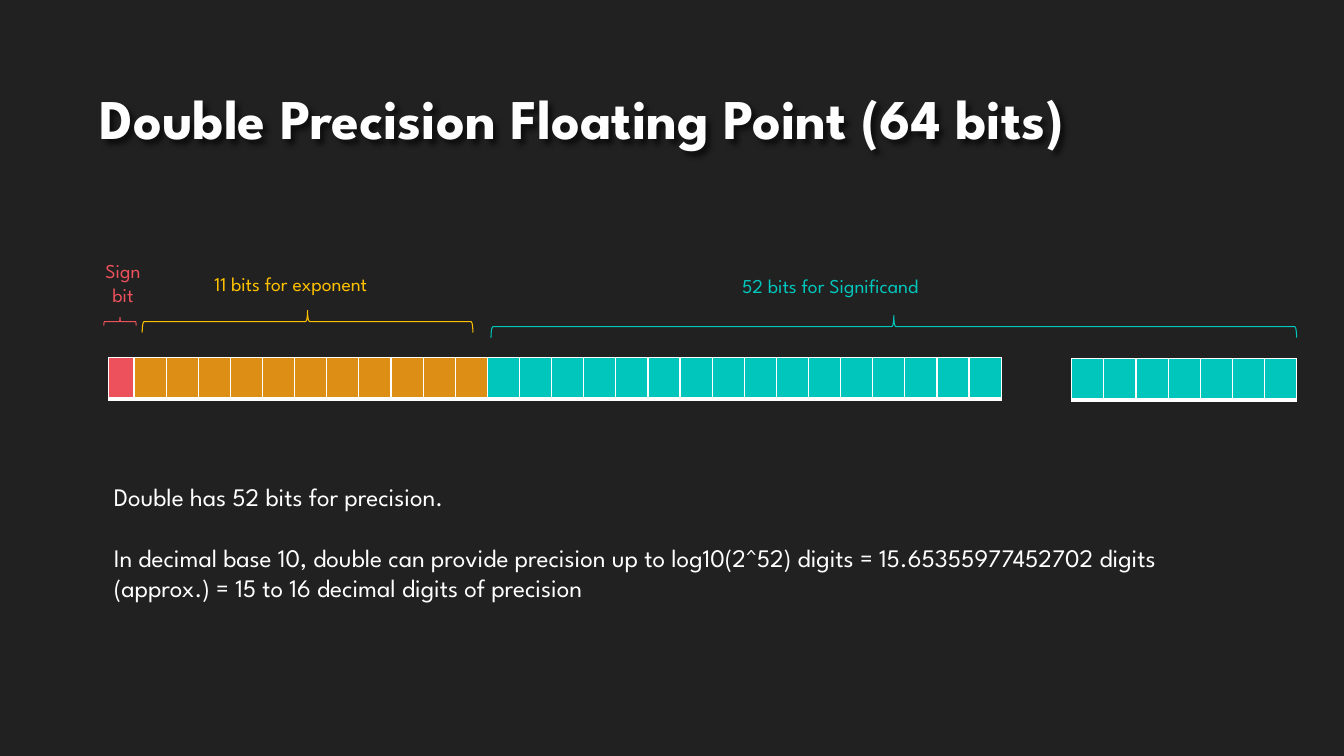
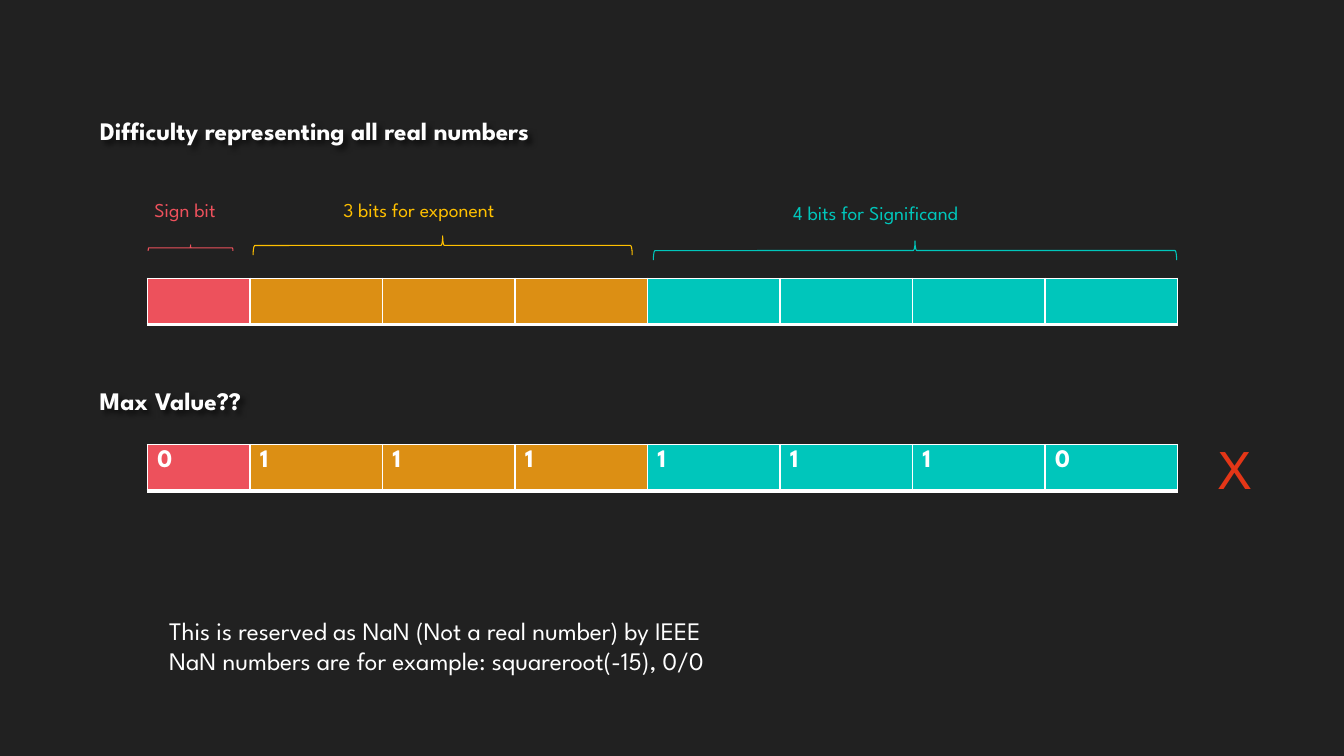
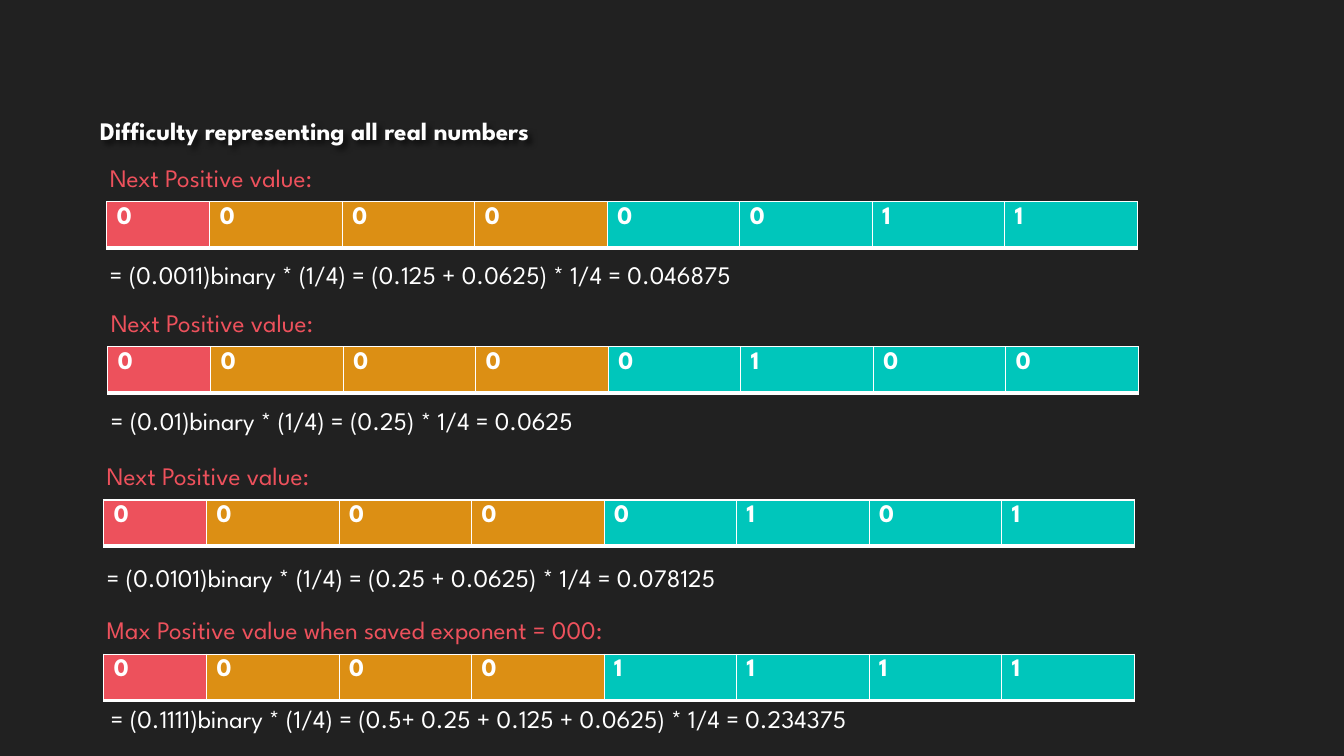
import pptx
import pptx.util
import pptx.dml.color
import pptx.enum.shapes
import pptx.enum.text
from lxml import etree
from pptx.oxml.ns import qn

Inches, Pt = pptx.util.Inches, pptx.util.Pt
ALIGN = pptx.enum.text.PP_ALIGN
ANCHOR = pptx.enum.text.MSO_ANCHOR

# Shared style
FONT = "League Spartan"
COLORS = {
    "background": "212121", "heading": "FEFEFE", "text": "FFFFFF",
    "sign": "ED515C", "exponent": "DC8F14", "significand": "00C6BB",
    "exponent note": "FFC000", "cross": "E43617",
}
HEADING_BOX = (0.89, 0.49, 11.56, 1.06)

# Content: each field is (brace and label colour, brace box, label, label box)
DOUBLE_TITLE = "Double Precision Floating Point (64 bits)"
DOUBLE_FIELDS = [
    ("exponent note", (1.41, 3.08, 3.28, 0.22), "11 bits for exponent", (1.53, 2.65, 2.71, 0.34)),
    ("significand", (4.87, 3.13, 7.99, 0.22), "52 bits for Significand", (4.24, 2.67, 7.99, 0.34)),
    ("sign", (1.03, 3.15, 0.32, 0.08), "Sign bit", (0.91, 2.52, 0.62, 0.57)),
]
DOUBLE_NOTES = [
    "Double has 52 bits for precision.",
    "In decimal base 10, double can provide precision up to log10(2^52) digits = "
    "15.65355977452702 digits (approx.) = 15 to 16 decimal digits of precision",
]

REAL_TITLE = "Difficulty representing all real numbers"
MINI_FIELDS = [
    ("exponent note", (2.51, 2.34, 3.76, 0.19), "3 bits for exponent", (2.8, 1.91, 2.71, 0.34)),
    ("significand", (6.48, 2.39, 5.19, 0.19), "4 bits for Significand", (4.69, 1.94, 7.99, 0.34)),
    ("sign", (1.47, 2.43, 0.84, 0.06), "Sign bit", (1.36, 1.91, 0.95, 0.34)),
]
NAN_NOTES = [
    "This is reserved as NaN (Not a real number) by IEEE",
    "NaN numbers are for example: squareroot(-15), 0/0",
]

# Label, bits, row corner, result, result corner
NEXT_VALUE = "Next Positive value:"
EXAMPLES = [
    (NEXT_VALUE, "00000011", (1.06, 2.0),
     "= (0.0011)binary * (1/4) = (0.125 + 0.0625) * 1/4 = 0.046875", (0.99, 2.52)),
    (NEXT_VALUE, "00000100", (1.07, 3.44),
     "= (0.01)binary * (1/4) = (0.25) * 1/4 = 0.0625", (1.0, 3.97)),
    (NEXT_VALUE, "00000101", (1.03, 4.96),
     "= (0.0101)binary * (1/4) = (0.25 + 0.0625) * 1/4 = 0.078125", (0.96, 5.53)),
    ("Max Positive value when saved exponent = 000:", "00001111", (1.03, 6.49),
     "= (0.1111)binary * (1/4) = (0.5+ 0.25 + 0.125 + 0.0625) * 1/4 = 0.234375", (1.0, 6.93)),
]

MINI_LAYOUT = ["sign"] + ["exponent"] * 3 + ["significand"] * 4
DOUBLE_START = ["sign"] + ["exponent"] * 11 + ["significand"] * 16
DOUBLE_END = ["significand"] * 7


def rgb(name):
    return pptx.dml.color.RGBColor.from_string(COLORS[name])


def write(frame, lines, size, color, bold=False, align=ALIGN.LEFT, gap=0):
    """Fill a text frame; gap is the space between paragraphs in points."""
    frame.text = "\n".join(lines)
    frame.word_wrap = True
    for index, paragraph in enumerate(frame.paragraphs):
        paragraph.alignment = align
        paragraph.space_before = Pt(gap if index else 0)
        for run in paragraph.runs:
            font = run.font
            font.name, font.size, font.bold = FONT, Pt(size), bold
            font.color.rgb = rgb(color)


def add_text(slide, box, lines, size, color, **style):
    label = slide.shapes.add_textbox(*map(Inches, box))
    write(label.text_frame, lines, size, color, **style)
    return label


def style_heading(heading, text, size, bottom=0.05):
    """Bold heading on the bottom of its box, with a soft shadow."""
    frame = heading.text_frame
    frame.auto_size = pptx.enum.text.MSO_AUTO_SIZE.NONE
    frame.vertical_anchor = ANCHOR.BOTTOM
    frame.margin_bottom = Inches(bottom)
    write(frame, [text], size, "heading", bold=True)
    effects = etree.SubElement(heading._element.spPr, qn("a:effectLst"))
    shadow = etree.SubElement(effects, qn("a:outerShdw"),
                              blurRad="50800", dist="38100", dir="2700000")
    black = etree.SubElement(shadow, qn("a:srgbClr"), val="000000")
    etree.SubElement(black, qn("a:alpha"), val="60000")


def add_slide(prs, title, size, bottom=0.05):
    slide = prs.slides.add_slide(prs.slide_layouts[5])
    style_heading(slide.shapes.title, title, size, bottom)
    return slide


def add_border(cell, side, width):
    line = etree.Element(qn("a:ln" + side), w=str(Pt(width)))
    fill = etree.SubElement(line, qn("a:solidFill"))
    etree.SubElement(fill, qn("a:srgbClr"), val=COLORS["text"])
    return line


def add_bits(slide, box, layout, sign_width=0, bits=""):
    """One row of bits; all but the sign bit share the width equally."""
    left, top, width, height = map(Inches, box)
    table = slide.shapes.add_table(1, len(layout), left, top, width, height).table
    table.first_row = table.horz_banding = False
    bit_width = (width - Inches(sign_width)) // (len(layout) - layout.count("sign"))
    for index, field in enumerate(layout):
        table.columns[index].width = Inches(sign_width) if field == "sign" else bit_width
        cell = table.cell(0, index)
        if bits:
            write(cell.text_frame, [bits[index]], 18, "text", bold=True)
        cell.fill.solid()
        cell.fill.fore_color.rgb = rgb(field)
        borders = [add_border(cell, side, 3 if side == "B" else 1) for side in "LRTB"]
        for position, border in enumerate(borders):
            cell._tc.get_or_add_tcPr().insert(position, border)


def add_mini_bits(slide, left, top, bits=""):
    add_bits(slide, (left, top, 10.22, 0.46), MINI_LAYOUT, 1.02, bits)


def add_fields(slide, fields):
    """Braces pointing up, each with its label."""
    for color, (left, top, span, depth), label, label_box in fields:
        # The brace is drawn upright about the same centre, then turned
        brace = slide.shapes.add_shape(
            pptx.enum.shapes.MSO_SHAPE.LEFT_BRACE,
            Inches(left + (span - depth) / 2), Inches(top + (depth - span) / 2),
            Inches(depth), Inches(span))
        brace.rotation = 90
        brace.shadow.inherit = False
        brace.fill.solid()
        brace.fill.fore_color.rgb = rgb("background")
        brace.line.color.rgb = rgb(color)
        brace.line.width = Pt(0.75)
        add_text(slide, label_box, [label], 14, color, align=ALIGN.CENTER)


def main():
    prs = pptx.Presentation()
    prs.slide_width, prs.slide_height = Inches(13.33), Inches(7.5)
    background = prs.slide_master.background.fill
    background.solid()
    background.fore_color.rgb = rgb("background")
    title = prs.slide_layouts[5].placeholders[0]
    title.left, title.top, title.width, title.height = map(Inches, HEADING_BOX)

    # Double precision
    double = add_slide(prs, DOUBLE_TITLE, 40)
    add_bits(double, (1.08, 3.55, 8.85, 0.41), DOUBLE_START, 0.25)
    add_bits(double, (10.63, 3.56, 2.23, 0.41), DOUBLE_END)
    add_fields(double, DOUBLE_FIELDS)
    add_text(double, (1.03, 4.73, 11.21, 1.31), DOUBLE_NOTES, 18, "text", gap=21.5)

    # Largest value of the 8-bit format
    largest = add_slide(prs, REAL_TITLE, 18, bottom=0.11)
    add_mini_bits(largest, 1.46, 2.76)
    add_fields(largest, MINI_FIELDS)
    question = add_text(largest, (0.89, 3.11, 11.56, 1.06), [], 18, "heading")
    style_heading(question, "Max Value??", 18)
    add_mini_bits(largest, 1.46, 4.41, "01111110")
    add_text(largest, (11.99, 4.25, 1.2, 0.77), ["X"], 40, "cross")
    add_text(largest, (1.58, 6.05, 9.99, 0.71), NAN_NOTES, 18, "text")

    # Positive values one after another
    positive = add_slide(prs, REAL_TITLE, 18, bottom=0.11)
    for label, bits, (left, top), result, corner in EXAMPLES:
        add_text(positive, (left - 0.07, top - 0.44, 9.99, 0.4), [label], 18, "sign")
        add_mini_bits(positive, left, top, bits)
        add_text(positive, (*corner, 9.23, 0.4), [result], 18, "text")

    prs.save("out.pptx")


if __name__ == "__main__":
    main()
